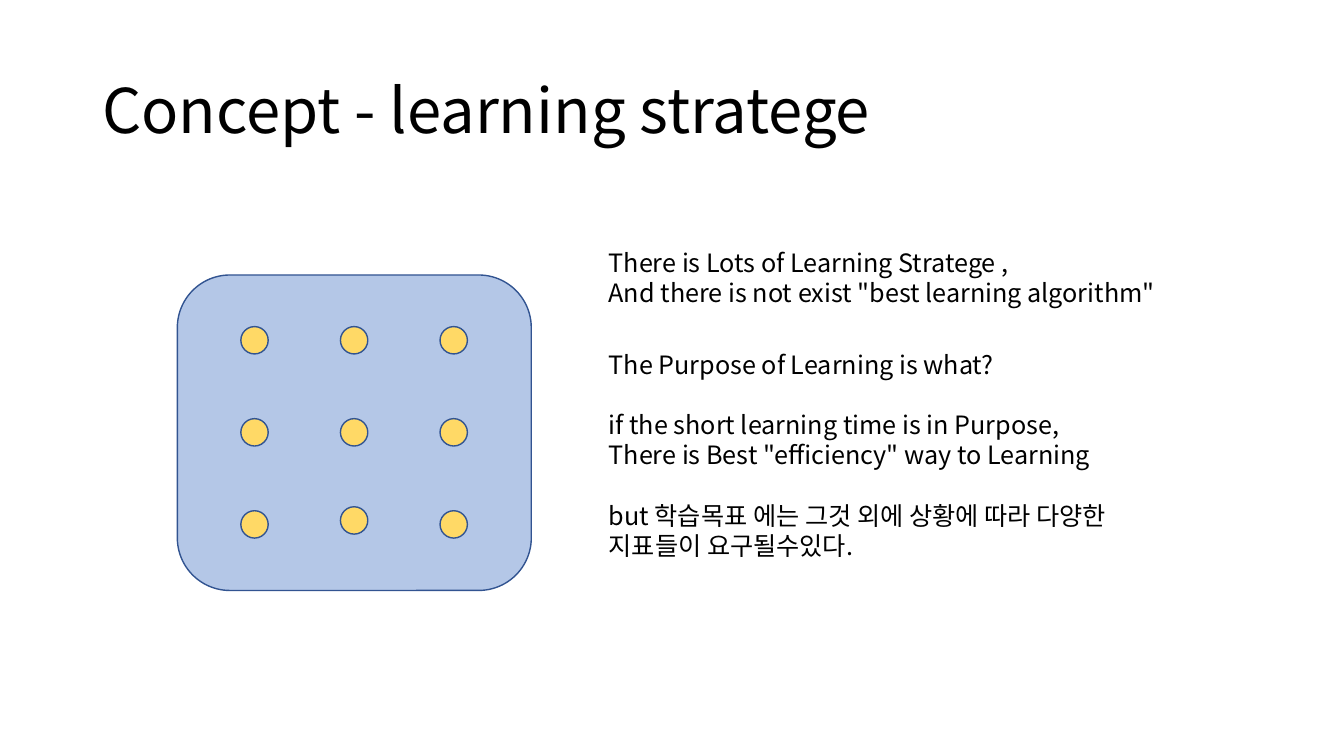
from lxml.etree import SubElement
from pptx import Presentation
from pptx.dml.color import RGBColor
from pptx.enum.shapes import MSO_SHAPE as Shape
from pptx.enum.text import MSO_ANCHOR as Anchor
from pptx.oxml.ns import qn
from pptx.util import Cm, Pt

FONT = "Noto Sans CJK KR"
BLACK, OUTLINE, PANEL_BLUE, DOT_YELLOW = "000000", "325491", "B4C7E7", "FFD966"
BODY_LINE = Pt(21.6)


def color(hex_string):
    """Turn a hex string into a colour."""
    return RGBColor.from_string(hex_string)


def add_run(paragraph, text, size):
    """Add one black run in the slide font, for Latin and Korean letters."""
    run = paragraph.add_run()
    run.text = text
    run.font.name = FONT
    run.font.size = Pt(size)
    run.font.color.rgb = color(BLACK)
    SubElement(run.font._element, qn("a:ea"), typeface=FONT)


def add_text(slide, box, groups, size, spacing, anchor=Anchor.TOP):
    """Write groups of lines in a box, with one empty line's gap between groups."""
    frame = slide.shapes.add_textbox(*map(Cm, box)).text_frame
    frame.word_wrap = True
    frame.vertical_anchor = anchor
    paragraph = None
    for group in groups:
        for number, line in enumerate(group):
            starts_group = paragraph is not None and number == 0
            paragraph = frame.add_paragraph() if paragraph is not None else frame.paragraphs[0]
            paragraph.line_spacing = spacing
            paragraph.space_before = BODY_LINE if starts_group else Pt(0)
            add_run(paragraph, line, size)


def add_outlined(slide, kind, box, fill):
    """Add a filled shape with the thin dark blue outline."""
    shape = slide.shapes.add_shape(kind, *map(Cm, box))
    shape.shadow.inherit = False
    shape.fill.solid()
    shape.fill.fore_color.rgb = color(fill)
    shape.line.color.rgb = color(OUTLINE)
    shape.line.width = Pt(1)


def add_dot_panel(slide, left, top, width, height):
    """Draw the rounded panel with its three by three dots."""
    add_outlined(slide, Shape.ROUNDED_RECTANGLE, (left, top, width, height), PANEL_BLUE)
    dot, column_step, row_step = 0.69, 2.51, 2.32
    first_left, first_top = left + 1.6, top + 1.3
    for row in range(3):
        for column in range(3):
            lift = 0.1 if (row, column) == (2, 1) else 0
            box = (first_left + column * column_step, first_top + row * row_step - lift, dot, dot)
            add_outlined(slide, Shape.OVAL, box, DOT_YELLOW)


def add_explanation(slide, left, top, width):
    """Write the claim and, below it, the question with its answers."""
    claim = [["There is Lots of Learning Stratege ,",
              'And there is not exist "best learning algorithm"']]
    purpose = [["The Purpose of Learning is what?"],
               ["if the short learning time is in Purpose,",
                'There is Best "efficiency" way to Learning'],
               ["but 학습목표 에는 그것 외에 상황에 따라 다양한 지표들이 요구될수있다."]]
    add_text(slide, (left, top, width, 1.8), claim, 18, BODY_LINE)
    add_text(slide, (left, top + 2.57, width, 6.4), purpose, 18, BODY_LINE)


def main():
    """Build the slide and save it."""
    presentation = Presentation()
    presentation.slide_width, presentation.slide_height = Cm(33.87), Cm(19.05)
    slide = presentation.slides.add_slide(presentation.slide_layouts[6])
    add_text(slide, (2.33, 1.01, 29.21, 3.68), [["Concept - learning stratege"]],
             44, 0.9, Anchor.MIDDLE)
    add_dot_panel(slide, 4.47, 6.93, 8.92, 7.95)
    add_explanation(slide, 15.09, 6.1, 15.47)
    presentation.save("out.pptx")


if __name__ == "__main__":
    main()
